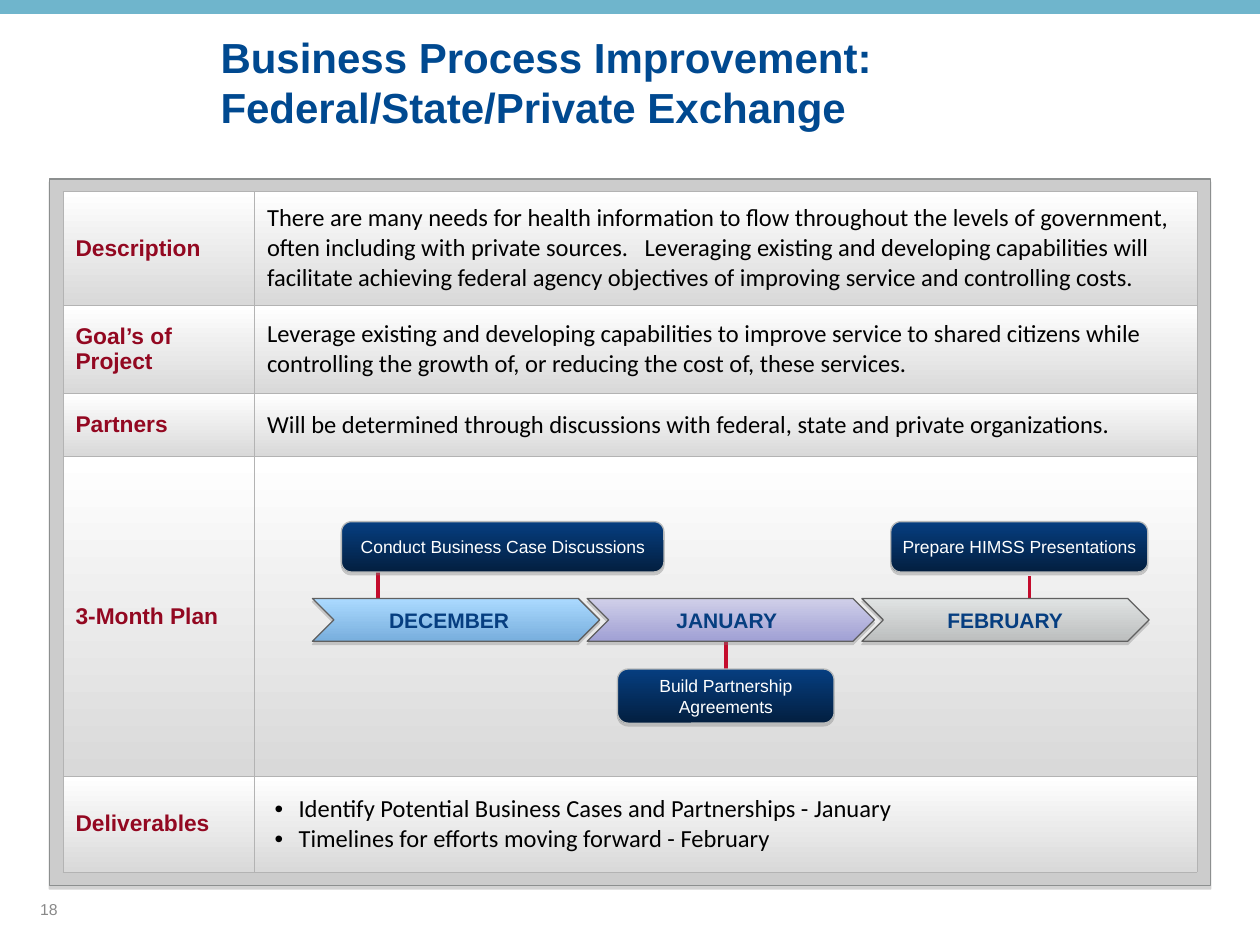
from lxml.etree import SubElement
from pptx import Presentation
from pptx.dml.color import RGBColor
from pptx.enum.shapes import MSO_CONNECTOR, MSO_SHAPE
from pptx.enum.text import MSO_ANCHOR as ANCHOR, MSO_AUTO_SIZE as AUTO_SIZE, PP_ALIGN as ALIGN
from pptx.oxml import parse_xml
from pptx.oxml.ns import nsdecls, qn
from pptx.util import Inches, Pt

THEME = {
    "font": "Arial", "body_font": "Calibri",
    "title": "004990", "label": "930821", "body": "000000", "number": "898989",
    "month": "063E80", "task": "FFFFFF", "band": "6FB5CC",
    "panel": "CCCCCC", "panel_line": "8C8F8F", "grid": "B3B3B3",
    "cell": ("FFFFFF", "D9D9D9"), "task_fill": ("063E80", "031F40"),
    "task_line": "B8BABA", "month_line": "606060", "link": "C40B2C", "shadow": "808080",
    "title_pt": 24, "body_pt": 14, "label_pt": 13, "month_pt": 12, "task_pt": 10, "number_pt": 9,
}

TITLE = ["Business Process Improvement:", "Federal/State/Private Exchange"]
ROWS = [
    ("Description", 0.9, ["There are many needs for health information to flow throughout the levels of government, often including with private sources.   Leveraging existing and developing capabilities will facilitate achieving federal agency objectives of improving service and controlling costs."]),
    ("Goal’s of Project", 0.7, ["Leverage existing and developing capabilities to improve service to shared citizens while controlling the growth of, or reducing the cost of, these services."]),
    ("Partners", 0.5, ["Will be determined through discussions with federal, state and private organizations."]),
    ("3-Month Plan", 2.54, []),
    ("Deliverables", 0.76, ["Identify Potential Business Cases and Partnerships - January",
                            "Timelines for efforts moving forward - February"]),
]
COLUMNS = [1.52, 7.48]
MONTHS = [
    ("DECEMBER", ("ABDAFF", "78AEDD"), 2.99, 1.2),
    ("JANUARY", ("D0CFE9", "A0A0D4"), 5.27, 1.05),
    ("FEBRUARY", ("E0E3E3", "BCBEBE"), 7.42, 1.2),
]
TASKS = [
    ("Conduct Business Case Discussions", (2.71, 4.14, 2.56, 0.4), 0),
    ("Prepare HIMSS Presentations", (7.07, 4.14, 2.04, 0.4), 0),
    ("Build Partnership Agreements", (4.9, 5.31, 1.72, 0.43), 0.1),
]
LINKS = [(8.17, 4.57, 4.82), (3.0, 4.52, 4.78), (5.76, 5.03, 5.49)]
MONTH_LEFT, MONTH_TOP, MONTH_STEP, MONTH_W, MONTH_H = 2.48, 4.75, 2.18, 2.28, 0.34


def rgb(name):
    return RGBColor.from_string(THEME.get(name, name))


def box(at):
    return [Inches(v) for v in at]


def add_run(p, text, role, bold=False, font="font"):
    r = p.add_run()
    r.text = text
    r.font.name = THEME[font]
    r.font.size = Pt(THEME[role + "_pt"])
    r.font.bold = bold
    r.font.color.rgb = rgb(role)


def paint(fill, colors):
    if isinstance(colors, str):
        fill.solid()
        fill.fore_color.rgb = rgb(colors)
        return
    fill.gradient()
    fill.gradient_angle = 270
    for stop, color in zip(fill.gradient_stops, colors):
        stop.color.rgb = rgb(color)


def add_shadow(sp, alpha, dist):
    effects = sp._element.spPr.find(qn("a:effectLst"))
    shadow = SubElement(effects, qn("a:outerShdw"), blurRad="0", dist=str(Pt(dist)),
                        dir="5400000", algn="ctr", rotWithShape="0")
    color = SubElement(shadow, qn("a:srgbClr"), val=THEME["shadow"])
    SubElement(color, qn("a:alpha"), val=str(alpha * 1000))


def add_block(slide, kind, at, fill, line=None, alpha=35, dist=1.8):
    sp = slide.shapes.add_shape(kind, *box(at))
    sp.shadow.inherit = False
    paint(sp.fill, fill)
    if line:
        sp.line.color.rgb = rgb(line)
        sp.line.width = Pt(0.75)
        add_shadow(sp, alpha, dist)
    else:
        sp.line.fill.background()
    return sp


def add_bullet(p):
    pPr = p._p.get_or_add_pPr()
    pPr.set("marL", str(Inches(0.25)))
    pPr.set("indent", str(Inches(-0.19)))
    color = SubElement(pPr, qn("a:buClr"))
    SubElement(color, qn("a:srgbClr"), val=THEME["body"])
    SubElement(pPr, qn("a:buFont"), typeface="Arial")
    SubElement(pPr, qn("a:buChar"), char="•")


def format_cell(cell):
    cell.vertical_anchor = ANCHOR.MIDDLE
    paint(cell.fill, THEME["cell"])
    tcPr = cell._tc.get_or_add_tcPr()
    for i, side in enumerate("LRTB"):
        tcPr.insert(i, parse_xml(
            f'<a:ln{side} {nsdecls("a")} w="{Pt(0.45)}"><a:solidFill>'
            f'<a:srgbClr val="{THEME["grid"]}"/></a:solidFill></a:ln{side}>'))


def add_title(slide):
    title = slide.shapes.title
    title.left, title.top, title.width, title.height = box((1.65, 0.2, 8.08, 1.23))
    tf = title.text_frame
    tf.vertical_anchor = ANCHOR.TOP
    p = tf.paragraphs[0]
    p.alignment = ALIGN.LEFT
    for i, text in enumerate(TITLE):
        if i:
            p.add_line_break()
        add_run(p, text, "title", True)


def add_project_table(slide):
    height = sum(row[1] for row in ROWS)
    frame = slide.shapes.add_table(len(ROWS), 2, *box((0.5, 1.52, sum(COLUMNS), height)))
    table = frame.table
    table.first_row = table.horz_banding = False
    for column, width in zip(table.columns, COLUMNS):
        column.width = Inches(width)
    for row, (label, height, texts) in zip(table.rows, ROWS):
        row.height = Inches(height)
        head, body = row.cells
        format_cell(head)
        format_cell(body)
        add_run(head.text_frame.paragraphs[0], label, "label", True)
        tf = body.text_frame
        for i, text in enumerate(texts):
            p = tf.add_paragraph() if i else tf.paragraphs[0]
            if len(texts) > 1:
                add_bullet(p)
            add_run(p, text, "body", font="body_font")


def add_plan(slide):
    for x, top, bottom in LINKS:
        link = slide.shapes.add_connector(MSO_CONNECTOR.STRAIGHT, *box((x, top, x, bottom)))
        link.line.color.rgb = rgb("link")
        link.line.width = Pt(2)
        SubElement(link._element.spPr, qn("a:effectLst"))
    for text, at, inset in TASKS:
        sp = add_block(slide, MSO_SHAPE.ROUNDED_RECTANGLE, at, THEME["task_fill"],
                       "task_line", 38, 1.6)
        sp.adjustments[0] = 0.2
        tf = sp.text_frame
        tf.word_wrap = True
        tf.vertical_anchor = ANCHOR.MIDDLE
        tf.margin_left = tf.margin_right = Inches(inset)
        tf.margin_top = tf.margin_bottom = Inches(inset / 2)
        p = tf.paragraphs[0]
        p.alignment = ALIGN.CENTER
        add_run(p, text, "task")
    for i, (name, colors, left, width) in enumerate(MONTHS):
        at = (MONTH_LEFT + i * MONTH_STEP, MONTH_TOP, MONTH_W, MONTH_H)
        add_block(slide, MSO_SHAPE.CHEVRON, at, colors, "month_line")
        tf = slide.shapes.add_textbox(*box((left, 4.77, width, 0.3))).text_frame
        tf.word_wrap = False
        tf.auto_size = AUTO_SIZE.SHAPE_TO_FIT_TEXT
        add_run(tf.paragraphs[0], name, "month", True)


def main():
    prs = Presentation()
    prs.slide_width, prs.slide_height = Inches(10), Inches(7.5)
    slide = prs.slides.add_slide(prs.slide_layouts[5])
    add_block(slide, MSO_SHAPE.RECTANGLE, (0, 0, 10, 0.11), "band")
    add_block(slide, MSO_SHAPE.RECTANGLE, (0.39, 1.42, 9.22, 5.61), "panel", "panel_line")
    add_project_table(slide)
    add_title(slide)
    number = slide.shapes.add_textbox(*box((0.22, 7.02, 2.33, 0.4)))
    number.text_frame.word_wrap = True
    number.text_frame.vertical_anchor = ANCHOR.MIDDLE
    add_run(number.text_frame.paragraphs[0], "18", "number")
    add_plan(slide)
    prs.save("out.pptx")


if __name__ == "__main__":
    main()
